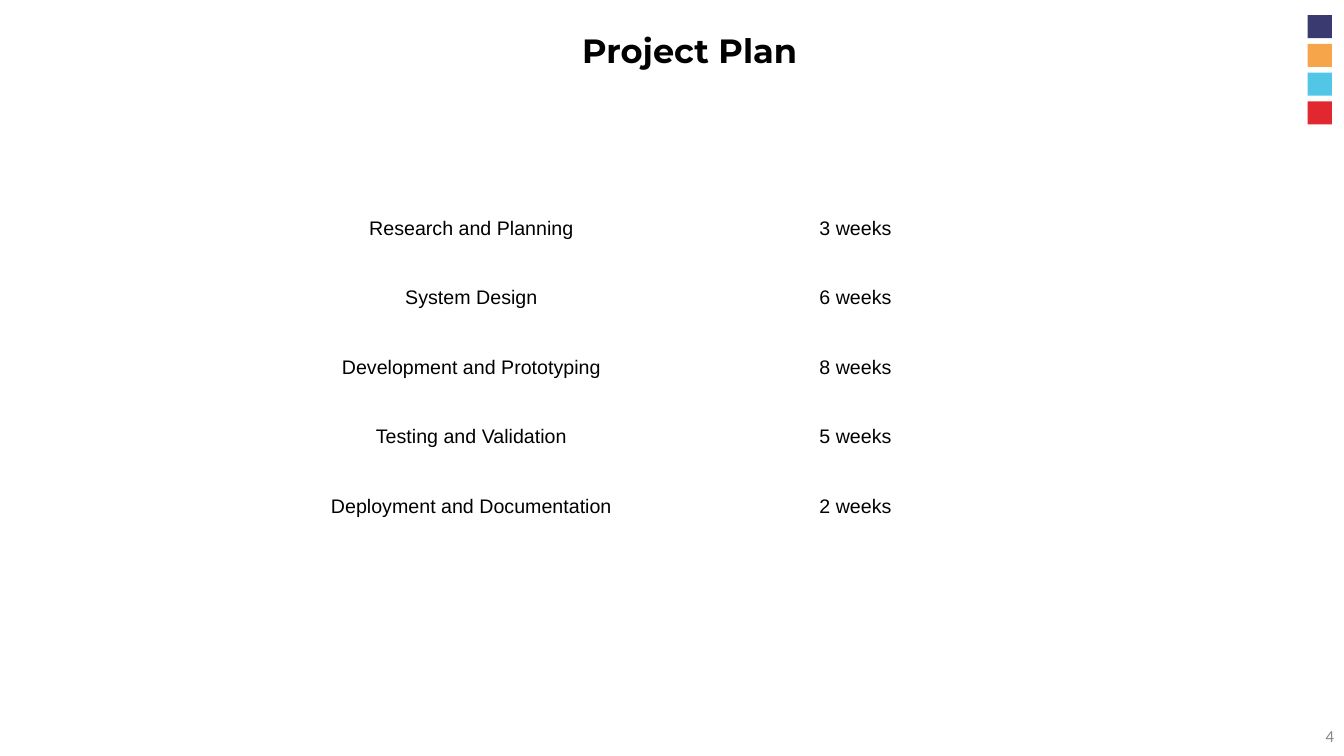
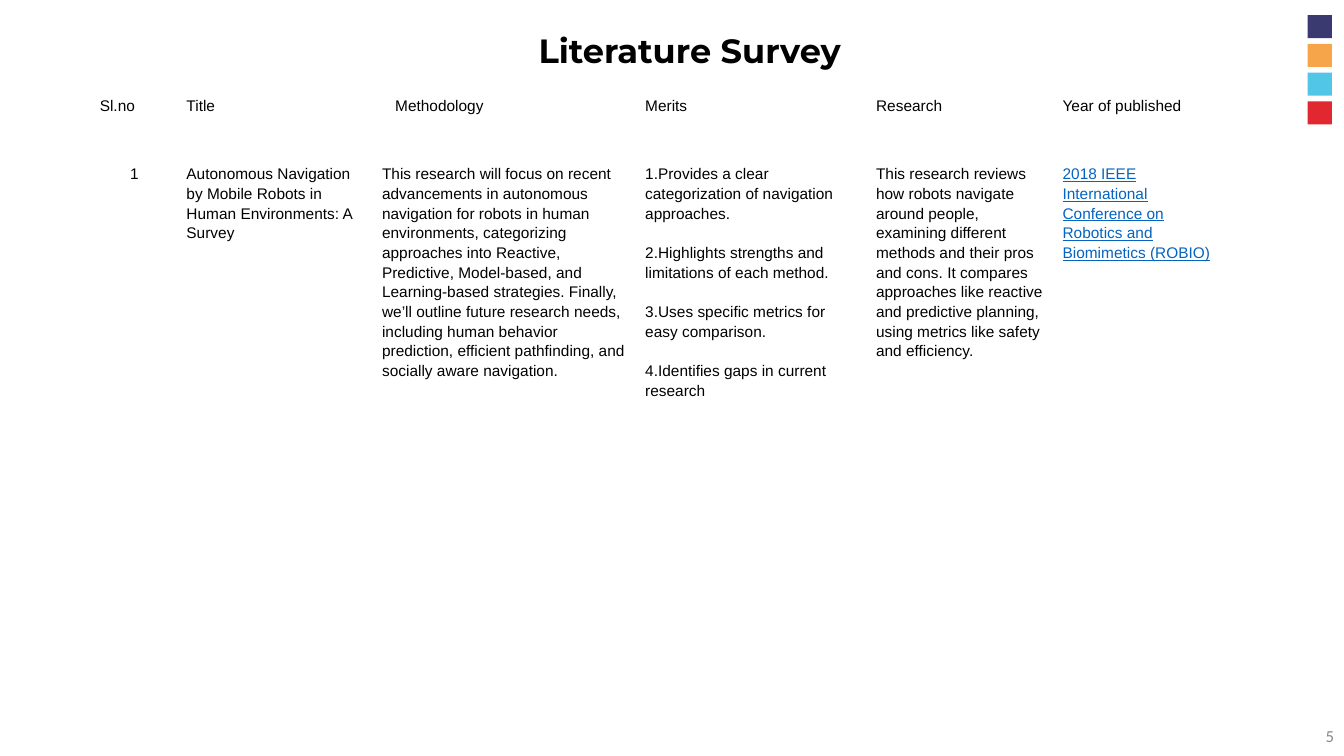
from dataclasses import dataclass

from pptx import Presentation
from pptx.dml.color import RGBColor
from pptx.enum.shapes import MSO_SHAPE
from pptx.enum.text import MSO_ANCHOR, MSO_AUTO_SIZE, PP_ALIGN
from pptx.util import Inches, Pt

RECT = MSO_SHAPE.RECTANGLE
TOP, MIDDLE = MSO_ANCHOR.TOP, MSO_ANCHOR.MIDDLE
LEFT, CENTER, RIGHT = PP_ALIGN.LEFT, PP_ALIGN.CENTER, PP_ALIGN.RIGHT
NO_FIT = MSO_AUTO_SIZE.NONE
TITLE_ONLY = 5


@dataclass(frozen=True)
class Theme:
    """Colours, fonts and type sizes shared by the slides."""
    squares: tuple = ("3A3A70", "F7A54B", "51C6E7", "E12730")
    text: str = "000000"
    muted: str = "888888"
    link: str = "0563C1"
    title_font: str = "Montserrat"
    body_font: str = "Arial"
    number_font: str = "Calibri"
    title_size: int = 24
    plan_size: int = 14
    survey_size: int = 11
    number_size: int = 12


THEME = Theme()

PLAN = [
    ("Research and Planning", "3 weeks"),
    ("System Design", "6 weeks"),
    ("Development and Prototyping", "8 weeks"),
    ("Testing and Validation", "5 weeks"),
    ("Deployment and Documentation", "2 weeks"),
]

SURVEY = [
    ("Sl.no", "Title", "Methodology", "Merits", "Research", "Year of published"),
    (
        "1",
        "Autonomous Navigation by Mobile Robots in Human Environments: A Survey",
        "This research will focus on recent advancements in autonomous navigation "
        "for robots in human environments, categorizing approaches into Reactive, "
        "Predictive, Model-based, and Learning-based strategies. Finally, we’ll "
        "outline future research needs, including human behavior prediction, "
        "efficient pathfinding, and socially aware navigation.",
        "1.Provides a clear categorization of navigation approaches.\n"
        "2.Highlights strengths and limitations of each method.\n"
        "3.Uses specific metrics for easy comparison.\n"
        "4.Identifies gaps in current research",
        "This research reviews how robots navigate around people, examining "
        "different methods and their pros and cons. It compares approaches like "
        "reactive and predictive planning, using metrics like safety and efficiency.",
        "2018 IEEE International Conference on Robotics and Biomimetics (ROBIO)",
    ),
]


def style_paragraph(p, font, size, color, align=LEFT, bold=False):
    """Set the alignment and font of a paragraph."""
    p.alignment = align
    p.font.name = font
    p.font.size = Pt(size)
    p.font.bold = bold
    p.font.color.rgb = RGBColor.from_string(color)


def place_title(s, text):
    """Fill and position the title placeholder."""
    title = s.shapes.title
    title.left, title.top = Inches(1.09), Inches(0.25)
    title.width, title.height = Inches(11.5), Inches(0.54)
    tf = title.text_frame
    tf.text = text
    tf.auto_size = NO_FIT
    tf.vertical_anchor = TOP
    style_paragraph(tf.paragraphs[0], THEME.title_font, THEME.title_size,
                    THEME.text, CENTER, bold=True)


def add_squares(s):
    """Stack the coloured squares in the top right corner."""
    for i, color in enumerate(THEME.squares):
        sp = s.shapes.add_shape(RECT, Inches(12.97), Inches(0.15 + 0.285 * i),
                                Inches(0.24), Inches(0.23))
        sp.shadow.inherit = False
        sp.fill.solid()
        sp.fill.fore_color.rgb = RGBColor.from_string(color)
        sp.line.fill.background()


def add_number(s, number):
    """Write the slide number in the bottom right corner."""
    box = s.shapes.add_textbox(Inches(10.33), Inches(7.1), Inches(3), Inches(0.4))
    tf = box.text_frame
    tf.word_wrap = True
    tf.vertical_anchor = MIDDLE
    tf.text = str(number)
    style_paragraph(tf.paragraphs[0], THEME.number_font, THEME.number_size,
                    THEME.muted, RIGHT)


def add_slide(prs, title, number):
    """Add a slide with the shared title, squares and number."""
    s = prs.slides.add_slide(prs.slide_layouts[TITLE_ONLY])
    place_title(s, title)
    add_squares(s)
    add_number(s, number)
    return s


def add_plain_table(s, data, left, top, widths, heights, size, align=LEFT):
    """Add an unfilled table of text and return it."""
    table = s.shapes.add_table(
        len(data), len(widths), Inches(left), Inches(top),
        Inches(sum(widths)), Inches(sum(heights))).table
    table.first_row = table.horz_banding = False
    for column, width in zip(table.columns, widths):
        column.width = Inches(width)
    for row, height, texts in zip(table.rows, heights, data):
        row.height = Inches(height)
        for cell, text in zip(row.cells, texts):
            cell.fill.background()
            cell.text = text
            for p in cell.text_frame.paragraphs:
                style_paragraph(p, THEME.body_font, size, THEME.text, align)
    return table


def add_plan(prs):
    """Build the project plan slide."""
    s = add_slide(prs, "Project Plan", 4)
    table = add_plain_table(s, PLAN, 2.77, 1.92, [3.81] * 2, [0.69] * len(PLAN),
                            THEME.plan_size, CENTER)
    for cell in table.iter_cells():
        cell.vertical_anchor = MIDDLE


def add_survey(prs):
    """Build the literature survey slide."""
    s = add_slide(prs, "Literature Survey", 5)
    table = add_plain_table(s, SURVEY, 0.92, 0.94,
                            [0.86, 1.94, 2.61, 2.29, 1.85, 1.62], [0.68, 5.11],
                            THEME.survey_size)
    for cell in table.iter_cells():
        cell.margin_left = cell.margin_right = Inches(0.07)
        cell.margin_top = cell.margin_bottom = 0
        for i, p in enumerate(cell.text_frame.paragraphs):
            p.line_spacing = 1.15
            if i:
                p.space_before = Pt(14)
    table.cell(0, 2).margin_left = Inches(0.2)
    table.cell(1, 0).margin_left = Inches(0.37)
    venue = table.cell(1, 5).text_frame.paragraphs[0]
    venue.font.underline = True
    venue.font.color.rgb = RGBColor.from_string(THEME.link)


def main():
    """Build and save the presentation."""
    prs = Presentation()
    prs.slide_width, prs.slide_height = Inches(13.33), Inches(7.5)
    add_plan(prs)
    add_survey(prs)
    prs.save("out.pptx")


if __name__ == "__main__":
    main()
